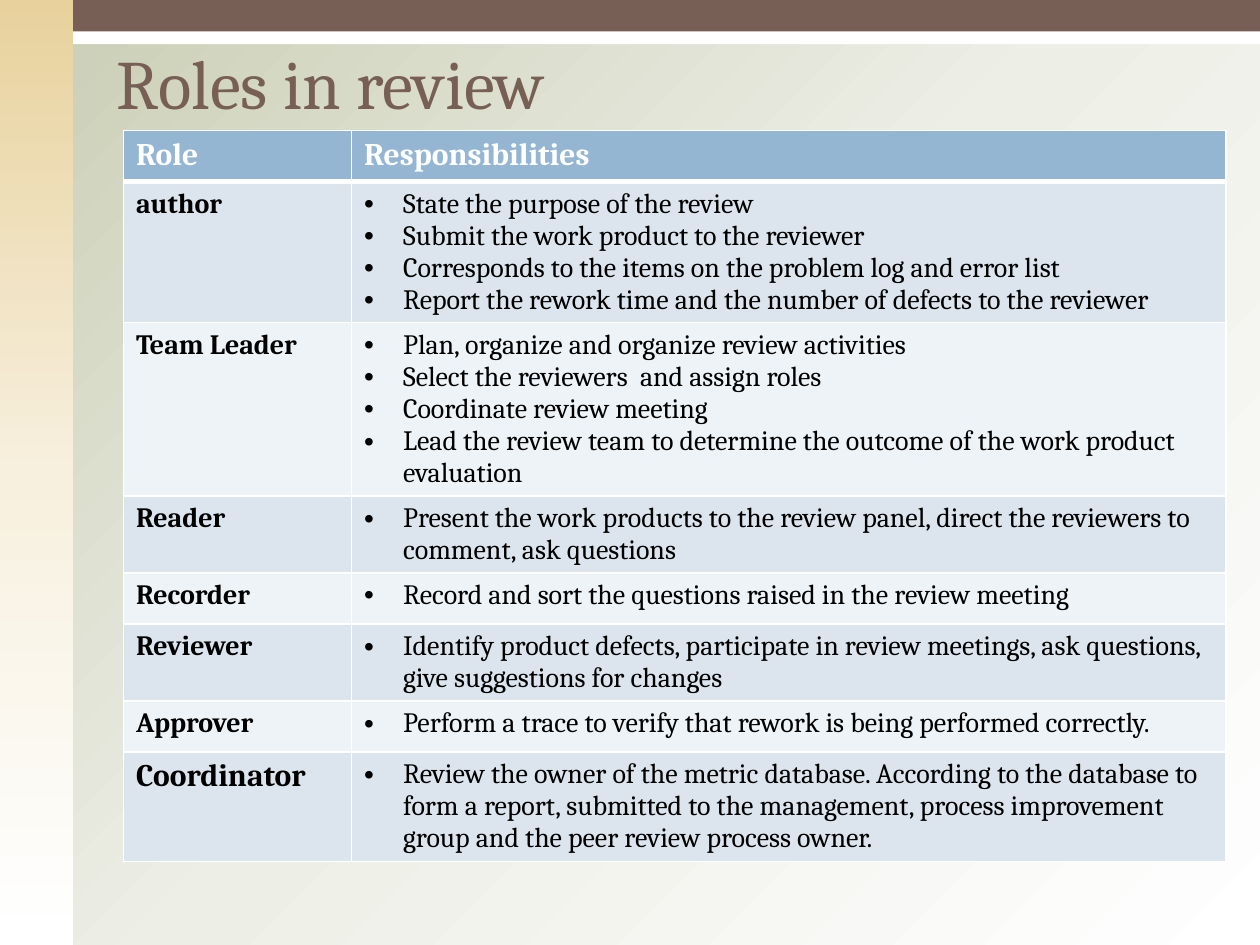
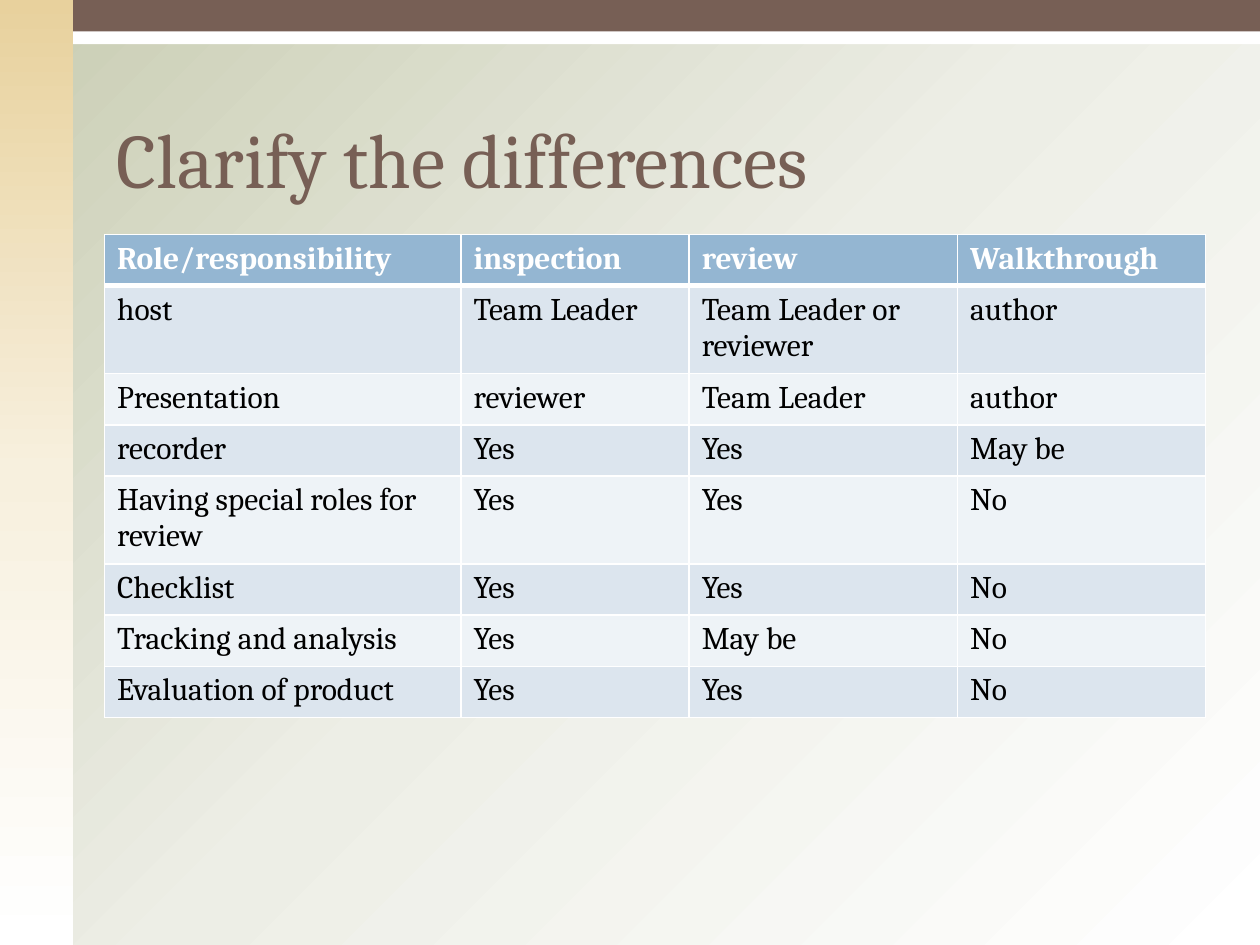
from copy import deepcopy

from lxml.etree import SubElement
from pptx import Presentation
from pptx.dml.color import RGBColor
from pptx.enum.shapes import MSO_SHAPE as Shape
from pptx.enum.text import MSO_ANCHOR as Anchor
from pptx.oxml import parse_xml
from pptx.oxml.ns import nsdecls, qn
from pptx.util import Inches, Pt

WHITE = RGBColor(0xFF, 0xFF, 0xFF)
BLACK = RGBColor(0x00, 0x00, 0x00)
BROWN = RGBColor(0x77, 0x5F, 0x55)
HEADER_BLUE = RGBColor(0x94, 0xB6, 0xD2)
ROW_BLUES = [RGBColor(0xEE, 0xF3, 0xF7), RGBColor(0xDC, 0xE5, 0xEE)]
SAGE_FADE = [RGBColor(0xC9, 0xCD, 0xB3), RGBColor(0xED, 0xEE, 0xE6), WHITE]
SAND_FADE = [RGBColor(0xE8, 0xD1, 0x9D), RGBColor(0xF7, 0xF0, 0xDE), WHITE]
FONT = "Cambria"

# The slide is a grid of 100 columns by 75 rows of square units.
COLUMNS, ROWS = 100, 75
UNIT = Inches(10) // COLUMNS
SIDE = 5.8
ROW_HEIGHT = Pt(29.2)
BULLET_INDENT = Inches(0.31)

BANDS = [
    ((0, 0, COLUMNS, 3.5), WHITE),
    ((0, 0, SIDE, ROWS), SAND_FADE),
    ((SIDE, 0, COLUMNS - SIDE, 2.5), BROWN),
]

# A list in a cell stands for bulleted paragraphs.
ROLES = [
    ["Role", "Responsibilities"],
    ["author", [
        "State the purpose of the review",
        "Submit the work product to the reviewer",
        "Corresponds to the items on the problem log and error list",
        "Report the rework time and the number of defects to the reviewer"]],
    ["Team Leader", [
        "Plan, organize and organize review activities",
        "Select the reviewers  and assign roles",
        "Coordinate review meeting",
        "Lead the review team to determine the outcome of the work product evaluation"]],
    ["Reader", [
        "Present the work products to the review panel, direct the reviewers to "
        "comment, ask questions"]],
    ["Recorder", ["Record and sort the questions raised in the review meeting"]],
    ["Reviewer", [
        "Identify product defects, participate in review meetings, ask questions, "
        "give suggestions for changes"]],
    ["Approver", ["Perform a trace to verify that rework is being performed correctly."]],
    ["Coordinator", [
        "Review the owner of the metric database. According to the database to form "
        "a report, submitted to the management, process improvement group and the "
        "peer review process owner."]],
]
DIFFERENCES = [
    ["Role/responsibility", "inspection", "review", "Walkthrough"],
    ["host", "Team Leader", "Team Leader or reviewer", "author"],
    ["Presentation", "reviewer", "Team Leader", "author"],
    ["recorder", "Yes", "Yes", "May be"],
    ["Having special roles for review", "Yes", "Yes", "No"],
    ["Checklist", "Yes", "Yes", "No"],
    ["Tracking and analysis", "Yes", "May be", "No"],
    ["Evaluation of product", "Yes", "Yes", "No"],
]
PAGES = [
    {"title": "Roles in review", "title_size": 39.6, "title_box": (8.3, 3.6, 87.5, 6.7),
     "table_at": (9.8, 10.35), "widths": (18.1, 69.4), "rows": ROLES,
     "body_size": 16, "bold_roles": True},
    {"title": "Clarify the differences", "title_size": 44, "title_box": (8.3, 4.2, 87.5, 12.5),
     "table_at": (8.3, 18.6), "widths": (28.3, 18.1, 21.3, 19.7), "rows": DIFFERENCES,
     "body_size": 18, "bold_roles": False},
]


def grid(*units):
    """Turn grid units into whole EMU lengths."""
    return [round(unit * UNIT) for unit in units]


def fade(owner, fill, colours, angle):
    """Fill with evenly spaced colours; angle runs clockwise in degrees."""
    fill.gradient()
    fill.gradient_angle = 360 - angle
    stop_list = next(owner.element.iter(qn("a:gsLst")))
    stop_list.insert(1, deepcopy(stop_list[0]))
    for index, (stop, colour) in enumerate(zip(fill.gradient_stops, colours)):
        stop.color.rgb = colour
        stop.position = index / (len(colours) - 1)


deck = Presentation()
deck.slide_width, deck.slide_height = grid(COLUMNS, ROWS)

for content in PAGES:
    page = deck.slides.add_slide(deck.slide_layouts[6])
    fade(page, page.background.fill, SAGE_FADE, 45)

    for place, paint in BANDS:
        band = page.shapes.add_shape(Shape.RECTANGLE, *grid(*place))
        band.shadow.inherit = False
        band.line.fill.background()
        if paint is SAND_FADE:
            fade(band, band.fill, paint, 90)
        else:
            band.fill.solid()
            band.fill.fore_color.rgb = paint

    rows, widths = content["rows"], content["widths"]
    frame = page.shapes.add_table(
        len(rows), len(widths), *grid(*content["table_at"], sum(widths)),
        ROW_HEIGHT * len(rows))
    table = frame.table
    for column, width in zip(table.columns, grid(*widths)):
        column.width = width

    for row_index, row in enumerate(rows):
        table.rows[row_index].height = ROW_HEIGHT
        is_header = row_index == 0
        for column_index, entry in enumerate(row):
            cell = table.cell(row_index, column_index)
            is_list = isinstance(entry, list)
            cell.text_frame.text = "\n".join(entry) if is_list else entry
            cell.fill.solid()
            cell.fill.fore_color.rgb = HEADER_BLUE if is_header else ROW_BLUES[row_index % 2]

            for para in cell.text_frame.paragraphs:
                font = para.runs[0].font
                font.name = FONT
                large = is_header or entry == "Coordinator"
                font.size = Pt(18 if large else content["body_size"])
                font.bold = is_header or (content["bold_roles"] and column_index == 0)
                font.color.rgb = WHITE if is_header else BLACK
                if is_list:
                    settings = para._p.get_or_add_pPr()
                    settings.set("marL", str(BULLET_INDENT))
                    settings.set("indent", str(-BULLET_INDENT))
                    SubElement(settings, qn("a:buFont"), typeface="Arial")
                    SubElement(settings, qn("a:buChar"), char="•")

            borders = {"lnL": 1, "lnR": 1,
                       "lnT": 3 if row_index == 1 else 1,
                       "lnB": 3 if is_header else 1}
            for position, (side, weight) in enumerate(borders.items()):
                cell._tc.get_or_add_tcPr().insert(position, parse_xml(
                    f'<a:{side} {nsdecls("a")} w="{Pt(weight)}"><a:solidFill>'
                    f'<a:srgbClr val="{WHITE}"/></a:solidFill></a:{side}>'))

    title = page.shapes.add_textbox(*grid(*content["title_box"])).text_frame
    title.word_wrap = True
    title.vertical_anchor = Anchor.BOTTOM
    title.text = content["title"]
    span = title.paragraphs[0].runs[0]
    span.font.name = FONT
    span.font.size = Pt(content["title_size"])
    span.font.color.rgb = BROWN

deck.save("out.pptx")
